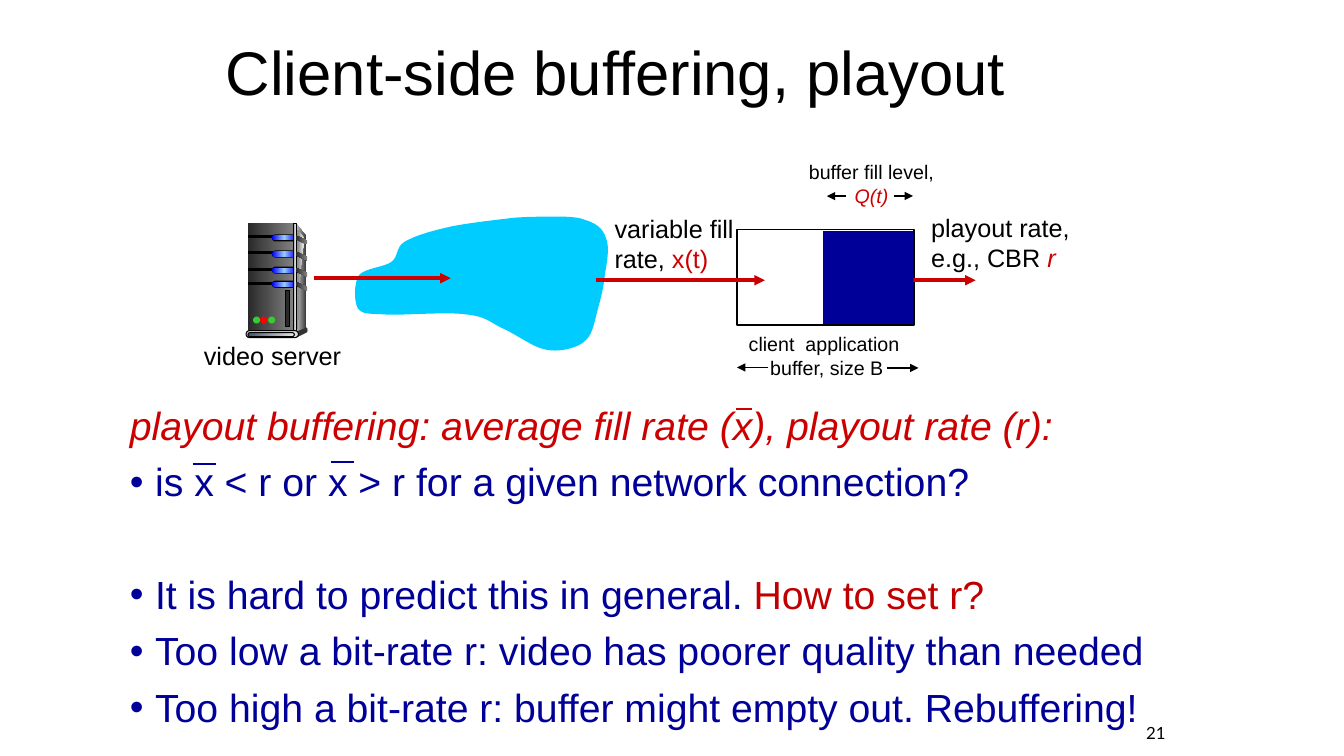
"""Build the slide on client-side buffering and playout."""
from dataclasses import dataclass

from lxml.etree import SubElement
from pptx import Presentation
from pptx.dml.color import RGBColor
from pptx.enum.shapes import MSO_CONNECTOR, MSO_SHAPE
from pptx.enum.text import MSO_ANCHOR, PP_ALIGN
from pptx.oxml.ns import qn
from pptx.util import Inches, Pt


@dataclass(frozen=True)
class Theme:
    """Colours, fonts and type sizes."""
    black: str = "000000"
    red: str = "CC0000"
    deep_red: str = "C00000"
    navy: str = "000099"
    cyan: str = "00CCFF"
    light: str = "DDDDDD"
    dark: str = "333333"
    green_light: str = "33CC33"
    red_light: str = "FF0000"
    font: str = "Arial"
    number_font: str = "Lato"
    title: int = 44
    body: int = 28
    label: int = 18
    small: int = 14
    number: int = 12
    steel: tuple = ("292929", "808080")
    side: tuple = ("DDDDDD", "333333")
    edge: tuple = ("808080", "F8F8F8")
    strip: tuple = ("333333", "DDDDDD", "333333")
    lamp: tuple = ("0000FF", "99CCFF", "0000FF")
    foot: tuple = ("44546A", "E7E6E6")


THEME = Theme()
CELL = Inches(0.01)
COLUMNS, ROWS = 1333, 750
LEFT, CENTER, RIGHT = PP_ALIGN.LEFT, PP_ALIGN.CENTER, PP_ALIGN.RIGHT
TOP, MIDDLE = MSO_ANCHOR.TOP, MSO_ANCHOR.MIDDLE
BOX, PILL, DOT = MSO_SHAPE.RECTANGLE, MSO_SHAPE.ROUNDED_RECTANGLE, MSO_SHAPE.OVAL

BODY_AREA = (119, 398.6, 1139, 332)
BODY = [
    (False, 0, [("playout buffering: average fill rate (x), playout rate (r):", THEME.red, True)]),
    (True, 10, [("is x < r or x > r for a given network connection?", THEME.navy, False)]),
    (True, 50, [("It is hard to predict this in general. ", THEME.navy, False),
                ("How to set r?", THEME.deep_red, False)]),
    (True, 10, [("Too low a bit-rate r: video has poorer quality than needed", THEME.navy, False)]),
    (True, 10, [("Too high a bit-rate r: buffer might empty out. Rebuffering!", THEME.navy, False)]),
]
LABELS = [
    ((599.7, 206.6, 145, 71), THEME.label, LEFT, False,
     [[("variable fill", THEME.black, False)],
      [("rate, ", THEME.black, False), ("x(t)", THEME.red, False)]]),
    ((729.6, 324.4, 181, 57), THEME.small, CENTER, True,
     [[("client  application ", THEME.black, False)], [("buffer, size B", THEME.black, False)]]),
    ((913.6, 205.6, 159, 71), THEME.label, LEFT, False,
     [[("playout rate,", THEME.black, False)],
      [("e.g., CBR ", THEME.black, False), ("r", THEME.red, True)]]),
    ((786.4, 154, 156, 57), THEME.small, CENTER, True,
     [[("buffer fill level, ", THEME.black, False), ("Q(t)", THEME.red, True)]]),
    ((192.4, 333, 164, 40), THEME.label, LEFT, False, [[("video server", THEME.black, False)]]),
]
FLOWS = [(311.6, 447, 276), (591, 758.6, 278), (897, 967.6, 278)]
MEASURES = [(880, 911, 365), (762, 731, 364.6), (839, 820, 194.6), (887, 905.6, 194.4)]
OVERBARS = [(191, 214, 460.4, THEME.navy, 1.75), (328, 351, 458.6, THEME.navy, 1.75),
            (730, 746, 406, THEME.red, 1.5)]
BUFFER, BUFFER_FILL = (731, 227.6, 175.4, 95), (816.5, 229.4, 89.4, 92)
CLOUD = [
    (510, 216), (494, 218), (465, 221), (446, 225), (428, 229), (411, 234), (401, 240),
    (392, 246), (396, 254), (388, 260), (381, 265), (362, 266), (356, 273),
    (351, 281), (351, 299), (355, 306), (360, 312), (365, 311), (383, 312),
    (401, 313), (444, 309), (463, 312), (482, 314), (485, 319), (497, 325),
    (509, 330), (524, 341), (535, 345), (546, 349), (556, 348), (564, 346),
    (572, 344), (579, 341), (584, 334), (589, 327), (591, 313), (594, 303),
    (597, 292), (599, 283), (600, 272), (602, 261), (605, 245), (601, 236),
    (598, 226), (590, 221), (580, 218), (570, 214), (553, 215), (541, 215),
    (529, 215), (525, 215), (510, 216),
]
SERVER_SIDE = [(294, 222), (304, 235), (304, 326), (292, 330)]
SERVER_EDGE = [(295, 228), (295, 228), (296, 229), (302, 237),
               (295, 277), (296, 329), (295, 327)]
SERVER_BASE = [(294, 329), (294, 335), (304, 330), (304, 325)]
SLOT_ROWS = (234, 250, 266, 280)
NOTCH = [(0, 0), (11, 5), (11, 9), (0, 4)]
LIGHTS = [(251, THEME.green_light), (258, THEME.red_light), (266, THEME.green_light)]


def paint(shape, fill=None, line=None, width=0.75):
    """Set a plain, graded or empty fill and an optional outline."""
    shape.shadow.inherit = False
    if fill is None:
        shape.fill.background()
    elif isinstance(fill, tuple):
        shape.fill.gradient()
        shape.fill.gradient_angle = 0
        stops = next(shape.element.spPr.iter(qn("a:gsLst")))
        stops.clear()
        for index, color in enumerate(fill):
            stop = SubElement(stops, qn("a:gs"), pos=str(100000 * index // (len(fill) - 1)))
            SubElement(stop, qn("a:srgbClr"), val=color)
    else:
        shape.fill.solid()
        shape.fill.fore_color.rgb = RGBColor.from_string(fill)
    if line:
        shape.line.color.rgb = RGBColor.from_string(line)
        shape.line.width = Pt(width)
    else:
        shape.line.fill.background()


def add_block(shapes, kind, area, fill=None, line=None, width=0.75):
    """Add a preset shape on the grid."""
    shape = shapes.add_shape(kind, *(round(CELL * value) for value in area))
    if kind == PILL:
        shape.adjustments[0] = 0.5
    paint(shape, fill, line, width)


def add_outline(shapes, points, fill, curved=False):
    """Add a closed outline on the grid, joining points by lines or cubic curves."""
    scaled = [(round(CELL * x), round(CELL * y)) for x, y in points]
    builder = shapes.build_freeform(*scaled[0])
    builder.add_line_segments(scaled[1:], close=True)
    shape = builder.convert_to_shape()
    if curved:
        segments = list(shape.element.spPr.iter(qn("a:lnTo")))
        for first in range(0, len(segments), 3):
            curve = segments[first]
            curve.addprevious(curve.makeelement(qn("a:cubicBezTo")))
            bezier = curve.getprevious()
            for segment in segments[first:first + 3]:
                bezier.append(segment[0])
                segment.getparent().remove(segment)
    paint(shape, fill)


def add_line(shapes, start, end, row, color, width, arrow=True):
    """Add a level line, with an arrowhead if asked."""
    ends = (round(CELL * value) for value in (start, row, end, row))
    line = shapes.add_connector(MSO_CONNECTOR.STRAIGHT, *ends)
    line.line.color.rgb = RGBColor.from_string(color)
    line.line.width = Pt(width)
    if arrow:
        SubElement(line.line._get_or_add_ln(), qn("a:tailEnd"), type="triangle")
    SubElement(line.element.spPr, qn("a:effectLst"))


def write(paragraph, runs, size, font):
    """Fill a paragraph with coloured runs."""
    for text, color, italic in runs:
        run = paragraph.add_run()
        run.text = text
        run.font.name, run.font.size, run.font.italic = font, Pt(size), italic
        run.font.color.rgb = RGBColor.from_string(color)


def add_text(shapes, area, size, align, wrap, lines, anchor=TOP, font=THEME.font):
    """Add a text box and return its paragraphs."""
    frame = shapes.add_textbox(*(round(CELL * value) for value in area)).text_frame
    frame.word_wrap, frame.vertical_anchor = wrap, anchor
    for index, runs in enumerate(lines):
        paragraph = frame.add_paragraph() if index else frame.paragraphs[0]
        paragraph.alignment = align
        write(paragraph, runs, size, font)
    return frame.paragraphs


def add_server(shapes):
    """Draw the video server as one group."""
    add_outline(shapes, SERVER_SIDE, THEME.side)
    add_block(shapes, BOX, (246, 221.6, 45, 108), THEME.steel)
    add_outline(shapes, SERVER_EDGE, THEME.edge, curved=True)
    for row in SLOT_ROWS:
        add_block(shapes, BOX, (247, row, 26, 2), THEME.black, THEME.black)
        add_block(shapes, PILL, (269.5, row - 1.5, 25, 7), THEME.black)
        add_block(shapes, PILL, (270, row - 0.5, 24, 5), THEME.lamp)
    add_block(shapes, BOX, (291, 221.6, 3, 108), THEME.strip, THEME.black)
    for row in SLOT_ROWS:
        add_outline(shapes, [(293.5 + x, row - 0.5 + y) for x, y in NOTCH], THEME.steel)
    add_block(shapes, DOT, (303, 325, 2, 5), THEME.dark)
    add_outline(shapes, SERVER_BASE, THEME.dark)
    add_block(shapes, PILL, (244, 328, 52, 7), THEME.light, THEME.black)
    add_block(shapes, PILL, (246, 330, 46, 4), THEME.foot, THEME.black)
    for column, color in LIGHTS:
        add_block(shapes, DOT, (column, 314, 7, 7), color)
    add_block(shapes, BOX, (283, 288, 4, 36), THEME.steel[0], THEME.black)


def main():
    """Assemble and save the slide."""
    presentation = Presentation()
    presentation.slide_width, presentation.slide_height = CELL * COLUMNS, CELL * ROWS
    shapes = presentation.slides.add_slide(presentation.slide_layouts[6]).shapes
    paragraphs = add_text(shapes, BODY_AREA, THEME.body, LEFT, True, [runs for _, _, runs in BODY])
    for paragraph, (bulleted, space, _) in zip(paragraphs, BODY):
        paragraph.line_spacing, paragraph.space_before = 0.9, Pt(space)
        if bulleted:
            properties = paragraph._p.get_or_add_pPr()
            properties.set("marL", str(CELL * 25))
            properties.set("indent", str(-CELL * 25))
            SubElement(properties, qn("a:buFont"), typeface=THEME.font)
            SubElement(properties, qn("a:buChar"), char="•")
    add_server(shapes.add_group_shape().shapes)
    add_outline(shapes, CLOUD, THEME.cyan, curved=True)
    add_block(shapes, BOX, BUFFER, None, THEME.black, 1.25)
    for flow in FLOWS:
        add_line(shapes, *flow, THEME.red, 2.5)
    add_block(shapes, BOX, BUFFER_FILL, THEME.navy)
    for measure in MEASURES:
        add_line(shapes, *measure, THEME.black, 1.25)
    for label in LABELS:
        add_text(shapes, *label)
    title, = add_text(shapes, (214, 12, 850, 125), THEME.title, LEFT, True,
                      [[("Client-side buffering, playout", THEME.black, False)]], MIDDLE)
    title.line_spacing = 0.9
    for overbar in OVERBARS:
        add_line(shapes, *overbar, arrow=False)
    add_text(shapes, (1091, 712, 75, 30), THEME.number, RIGHT, True,
             [[("21", THEME.black, False)]], MIDDLE, THEME.number_font)
    presentation.save("out.pptx")


if __name__ == "__main__":
    main()
